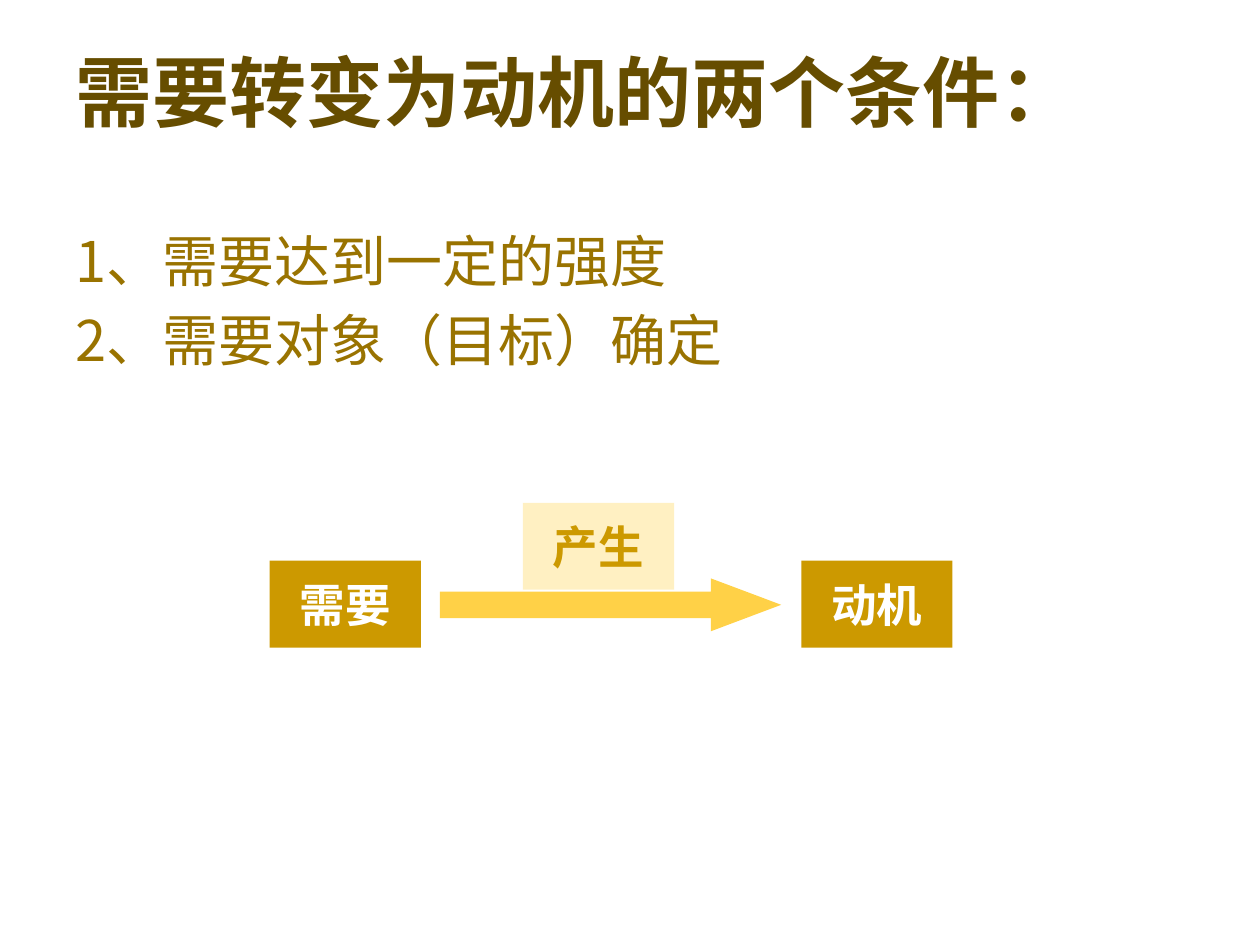
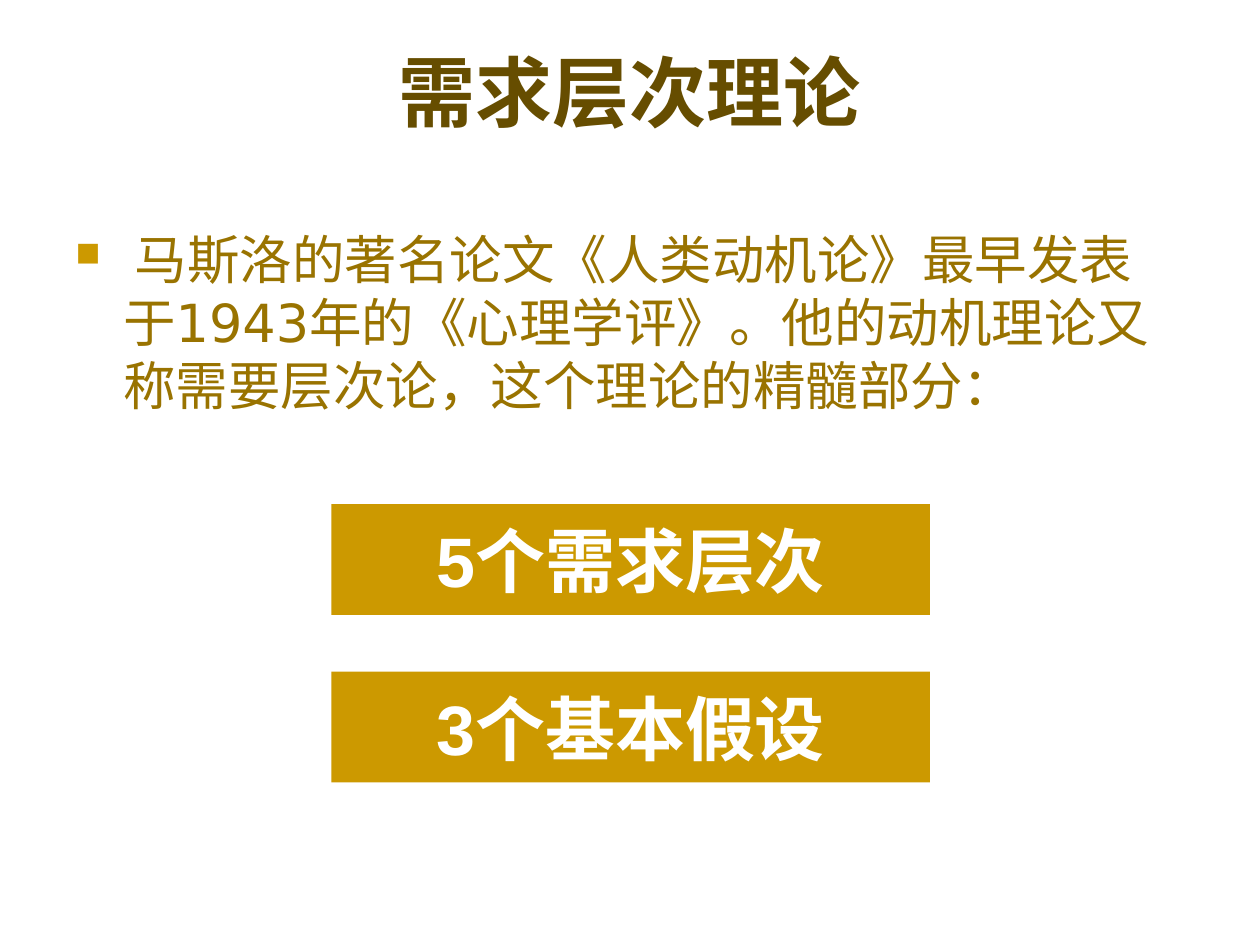
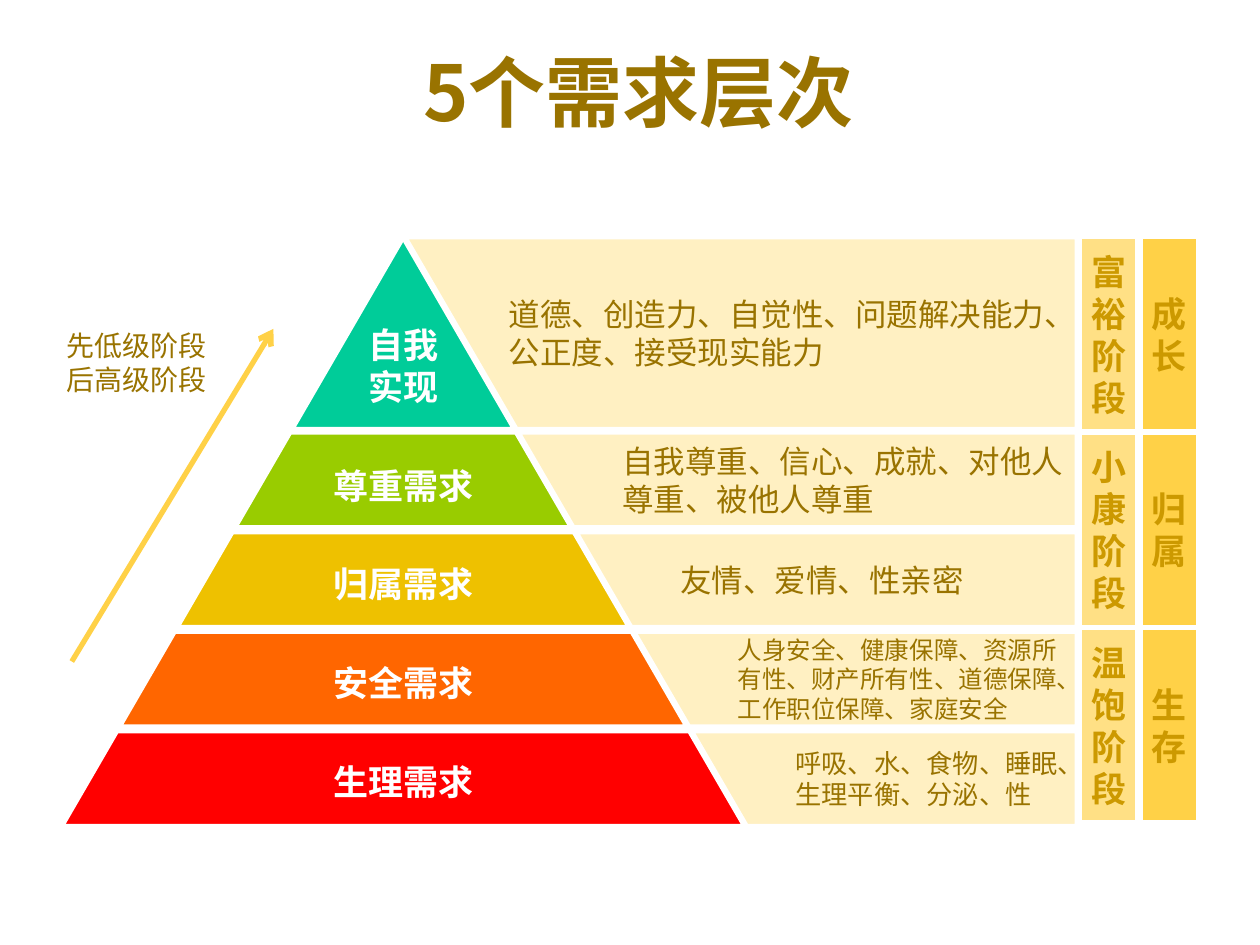
from lxml.etree import SubElement
from pptx import Presentation
from pptx.dml.color import RGBColor
from pptx.enum.shapes import MSO_CONNECTOR as Connector, MSO_SHAPE as Preset
from pptx.enum.text import MSO_ANCHOR as Anchor, MSO_AUTO_SIZE as AutoSize, PP_ALIGN as Align
from pptx.oxml.ns import qn
from pptx.util import Inches, Pt

CJK, ARIAL, DEJAVU = "Noto Sans CJK SC", "Arial", "DejaVu Sans"
BROWN, OCHRE, GOLD = "664D00", "997300", "CC9900"
AMBER, SAND, CREAM, WHITE = "FFD147", "FFE085", "FFF0C2", "FFFFFF"
MIDDLE = {"word_wrap": True, "vertical_anchor": Anchor.MIDDLE}
TOP = {"word_wrap": True, "vertical_anchor": Anchor.TOP, "auto_size": AutoSize.NONE}

APEX_X, APEX_Y, SLOPE = 3.2, 1.88, 0.58
ROW_TOP, ROW_PITCH, ROW_HEIGHT = 3.43, 0.79, 0.76
PANEL_RIGHT = 8.55
LEVELS = [
    ("自我实现", "00CC99", 18, "道德、创造力、自觉性、问题解决能力、公正度、接受现实能力"),
    ("尊重需求", "99CC00", 18, "自我尊重、信心、成就、对他人尊重、被他人尊重"),
    ("归属需求", "EEC100", 18, "友情、爱情、性亲密"),
    ("安全需求", "FF6600", 14, "人身安全、健康保障、资源所有性、财产所有性、道德保障、工作职位保障、家庭安全"),
    ("生理需求", "FF0000", 15, "呼吸、水、食物、睡眠、生理平衡、分泌、性"),
]
STAGE_HEIGHT = 1.55
STAGE_COLUMNS = [
    (8.57, SAND, ("富裕阶段", "小康阶段", "温饱阶段")),
    (9.05, AMBER, ("成长", "归属", "生存")),
]


def color(value):
    """Turn a hex string into a colour."""
    return RGBColor.from_string(value)


def box(*lengths):
    """Turn numbers of inches into lengths."""
    return [Inches(length) for length in lengths]


def apply(target, values):
    """Set attributes from a dict."""
    for name, value in values.items():
        setattr(target, name, value)


def font_format(size, fill, name=CJK, bold=False):
    """Describe a font."""
    return {"size": size, "fill": fill, "name": name, "bold": bold}


def write(shape, lines, font, frame, align=Align.LEFT, indent=0, space=0):
    """Write one paragraph per line into a shape."""
    text_frame = shape.text_frame
    apply(text_frame, frame)
    for index, line in enumerate(lines):
        paragraph = text_frame.paragraphs[0] if index == 0 else text_frame.add_paragraph()
        apply(paragraph, {"alignment": align, "space_before": Pt(space)})
        if indent:
            properties = paragraph._p.get_or_add_pPr()
            properties.set("marL", str(Inches(indent)))
            properties.set("indent", str(-Inches(indent)))
        run = paragraph.add_run()
        run.text = line
        apply(run.font, {"size": Pt(font["size"]), "name": font["name"], "bold": font["bold"]})
        run.font.color.rgb = color(font["fill"])
        east_asian = SubElement(run.font._element, qn("a:ea"))
        east_asian.set("typeface", CJK)


def paint(shape, fill, outlined=False):
    """Give a shape a flat fill and an optional white outline."""
    shape.shadow.inherit = False
    shape.fill.solid()
    shape.fill.fore_color.rgb = color(fill)
    if outlined:
        shape.line.color.rgb = color(WHITE)
        shape.line.width = Pt(3)
    else:
        shape.line.fill.background()


def add_block(shapes, preset, place, fill, outlined=False):
    """Add a filled preset shape."""
    shape = shapes.add_shape(preset, *box(*place))
    paint(shape, fill, outlined)
    return shape


def add_title_slide(presentation, text, font, align=Align.CENTER):
    """Add a title-only slide and format its title."""
    slide = presentation.slides.add_slide(presentation.slide_layouts[5])
    title = slide.shapes.title
    apply(title, dict(zip(("left", "top", "width", "height"), box(0.5, 0.3, 9, 1.25))))
    write(title, [text], font, TOP, align)
    return slide


def add_body(slide, lines, font):
    """Add the body text with a hanging indent."""
    body = slide.shapes.add_textbox(*box(0.5, 1.75, 9, 4.95))
    write(body, lines, font, TOP, indent=0.38, space=font["size"] * 0.2)
    return body


def add_square_bullet(paragraph):
    """Put a small gold square before a paragraph."""
    properties = paragraph._p.get_or_add_pPr()
    bullet_color = SubElement(properties, qn("a:buClr"))
    SubElement(bullet_color, qn("a:srgbClr")).set("val", GOLD)
    SubElement(properties, qn("a:buSzPct")).set("val", "65000")
    SubElement(properties, qn("a:buChar")).set("char", "■")


def add_arrow_line(slide, start, end):
    """Add an amber line with an open arrowhead at its end."""
    line = slide.shapes.add_connector(Connector.STRAIGHT, *box(*start, *end))
    line.line.color.rgb = color(AMBER)
    line.line.width = Pt(3)
    SubElement(line.line._get_or_add_ln(), qn("a:tailEnd")).set("type", "arrow")
    SubElement(line._element.spPr, qn("a:effectLst"))


def half_width(y):
    """Return half the width of the pyramid at a height."""
    return SLOPE * (y - APEX_Y)


def add_level(slide, label, fill, top, height):
    """Add one layer of the pyramid."""
    half = half_width(top + height)
    place = (APEX_X - half, top, 2 * half, height)
    layer = add_block(slide.shapes, Preset.TRAPEZOID, place, fill, True)
    layer.adjustments[0] = SLOPE
    frame = MIDDLE | dict.fromkeys(("margin_left", "margin_top", "margin_right", "margin_bottom"), 0)
    write(layer, [label], font_format(20, WHITE, bold=True), frame, Align.CENTER)


def add_panel(slide, text, size, top, height):
    """Add the slanted panel beside a layer."""
    bottom = top + height
    edge = APEX_X + 0.01
    corners = [
        (PANEL_RIGHT, top),
        (PANEL_RIGHT, bottom),
        (edge + half_width(bottom), bottom),
    ]
    builder = slide.shapes.build_freeform(*box(edge + half_width(top), top))
    builder.add_line_segments([box(*corner) for corner in corners], close=True)
    panel = builder.convert_to_shape()
    paint(panel, CREAM, True)
    frame = MIDDLE | {"margin_left": Inches(0.83), "margin_right": Inches(0.08)}
    write(panel, [text], font_format(size, OCHRE), frame)


def build_conditions(presentation):
    """Build the slide on how needs become motives."""
    title_font = font_format(44, BROWN, ARIAL, True)
    slide = add_title_slide(presentation, "需要转变为动机的两个条件：", title_font, Align.LEFT)
    add_body(slide, ["1、需要达到一定的强度", "2、需要对象（目标）确定"], font_format(32, OCHRE))
    shapes = slide.shapes.add_group_shape().shapes
    arrow = add_block(shapes, Preset.RIGHT_ARROW, (3.49, 4.59, 2.71, 0.42), AMBER)
    arrow.adjustments[1] = 1.33
    for label, left, top, fill, text_fill in (
        ("需要", 2.14, 4.45, GOLD, WHITE),
        ("产生", 4.15, 3.99, CREAM, GOLD),
        ("动机", 6.36, 4.45, GOLD, WHITE),
    ):
        block = add_block(shapes, Preset.RECTANGLE, (left, top, 1.2, 0.69), fill)
        write(block, [label], font_format(26, text_fill, ARIAL, True), MIDDLE, Align.CENTER)


def build_theory(presentation):
    """Build the slide that introduces the theory."""
    slide = add_title_slide(presentation, "需求层次理论", font_format(44, BROWN, DEJAVU, True))
    text = (" 马斯洛的著名论文《人类动机论》最早发表于1943年的《心理学评》。"
            "他的动机理论又称需要层次论，这个理论的精髓部分：")
    body = add_body(slide, [text], font_format(30, OCHRE, DEJAVU))
    add_square_bullet(body.text_frame.paragraphs[0])
    for index, label in enumerate(("5个需求层次", "3个基本假设")):
        place = (2.63, 4 + 1.33 * index, 4.75, 0.88)
        bar = add_block(slide.shapes, Preset.RECTANGLE, place, GOLD)
        font = font_format(40, WHITE, ARIAL, True)
        write(bar, [label], font, MIDDLE, Align.CENTER, indent=0.54, space=8)


def build_pyramid(presentation):
    """Build the slide with the pyramid of needs."""
    slide = add_title_slide(presentation, " 5个需求层次", font_format(44, OCHRE, bold=True))
    for index, (label, fill, size, text) in enumerate(LEVELS):
        top = ROW_TOP + ROW_PITCH * (index - 1) if index else APEX_Y
        height = ROW_HEIGHT if index else 1.53
        add_level(slide, label, fill, top, height)
        add_panel(slide, text, size, top, height)
    add_arrow_line(slide, (0.57, 5.25), (2.17, 2.61))
    note = slide.shapes.add_textbox(*box(0.43, 2.56, 1.32, 0.64))
    frame = {"word_wrap": False, "auto_size": AutoSize.SHAPE_TO_FIT_TEXT}
    write(note, ["先低级阶段", "后高级阶段"], font_format(16, OCHRE), frame)
    narrow = MIDDLE | dict.fromkeys(("margin_left", "margin_right"), Inches(0.05))
    for left, fill, labels in STAGE_COLUMNS:
        for index, label in enumerate(labels):
            place = (left, APEX_Y + STAGE_HEIGHT * index, 0.46, STAGE_HEIGHT)
            stage = add_block(slide.shapes, Preset.RECTANGLE, place, fill, True)
            write(stage, [label], font_format(20, GOLD, bold=True), narrow, Align.CENTER)


def main():
    """Build and save the presentation."""
    presentation = Presentation()
    apply(presentation, {"slide_width": Inches(10), "slide_height": Inches(7.5)})
    build_conditions(presentation)
    build_theory(presentation)
    build_pyramid(presentation)
    presentation.save("out.pptx")


main()
